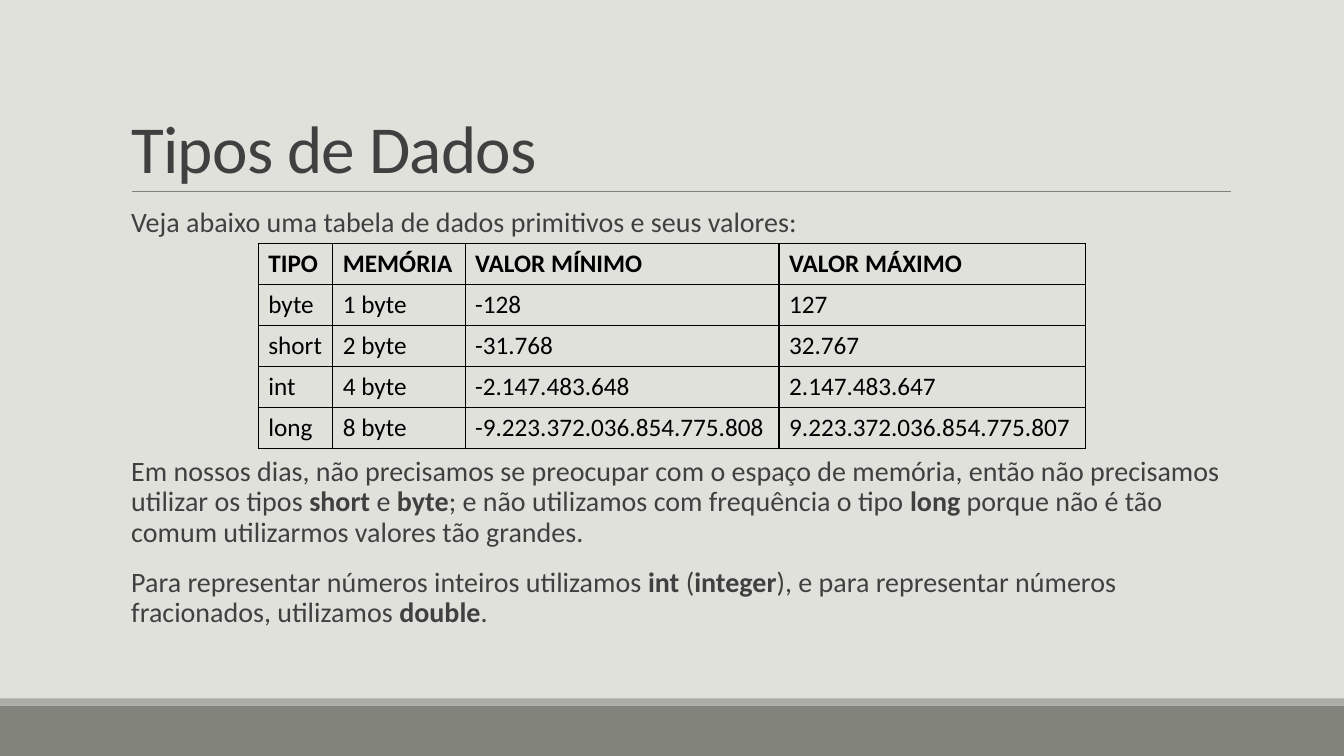
from lxml.etree import SubElement
from pptx import Presentation
from pptx.dml.color import RGBColor
from pptx.enum.shapes import MSO_CONNECTOR as Connector, MSO_SHAPE as Preset
from pptx.enum.text import MSO_ANCHOR as Anchor
from pptx.oxml import parse_xml
from pptx.oxml.ns import nsdecls, qn
from pptx.util import Emu, Pt

COLORS = {
    "background": "E1E1DB",
    "footer": "82847C",
    "stripe": "ACADA8",
    "rule": "808080",
    "text": "404040",
    "table": "000000",
}
FONT = "Calibri"
BODY_FORMAT = dict(size=20, line_spacing=0.9, before=12, after=2)
COLUMN_WIDTHS = [71, 126, 299, 292]
ROW_HEIGHT = 39
DATA_TYPES = [
    ["TIPO", "MEMÓRIA", "VALOR MÍNIMO", "VALOR MÁXIMO"],
    ["byte", "1 byte", "-128", "127"],
    ["short", "2 byte", "-31.768", "32.767"],
    ["int", "4 byte", "-2.147.483.648", "2.147.483.647"],
    ["long", "8 byte", "-9.223.372.036.854.775.808", "9.223.372.036.854.775.807"],
]
INTRODUCTION = "Veja abaixo uma tabela de dados primitivos e seus valores:"
CONCLUSIONS = [
    "Em nossos dias, não precisamos se preocupar com o espaço de memória, "
    "então não precisamos utilizar os tipos **short** e **byte**; e não utilizamos "
    "com frequência o tipo **long** porque não é tão comum utilizarmos valores tão grandes.",
    "Para representar números inteiros utilizamos **int **(**integer**), "
    "e para representar números fracionados, utilizamos **double**.",
]


def px(length):
    """Turn pixels into EMU."""
    return Emu(length * 9525)


def color(name):
    """Look up a named colour."""
    return RGBColor.from_string(COLORS[name])


def write_text(paragraph, text, size, fill="text", bold=False, tracking=None,
               line_spacing=None, before=0, after=0):
    """Write text into a paragraph, with ** switching bold."""
    paragraph.line_spacing = line_spacing
    paragraph.space_before = Pt(before)
    paragraph.space_after = Pt(after)
    for index, part in enumerate(text.split("**")):
        if not part:
            continue
        run = paragraph.add_run()
        run.text = part
        run.font.name = FONT
        run.font.size = Pt(size)
        run.font.bold = bold or index % 2 == 1
        run.font.color.rgb = color(fill)
        if tracking is not None:
            run.font._element.set("spc", str(tracking))


def add_text(slide, box, texts, anchor=Anchor.TOP, **text_format):
    """Add a wrapped text box with one paragraph per text."""
    frame = slide.shapes.add_textbox(*map(px, box)).text_frame
    frame.word_wrap = True
    frame.vertical_anchor = anchor
    frame.margin_left = frame.margin_right = 0
    for index, text in enumerate(texts):
        paragraph = frame.add_paragraph() if index else frame.paragraphs[0]
        write_text(paragraph, text, **text_format)


def add_bar(slide, box, fill):
    """Add a borderless filled rectangle."""
    shape = slide.shapes.add_shape(Preset.RECTANGLE, *map(px, box))
    shape.shadow.inherit = False
    shape.fill.solid()
    shape.fill.fore_color.rgb = color(fill)
    shape.line.fill.background()


def add_rule(slide, left, right, top):
    """Add a thin horizontal line."""
    line = slide.shapes.add_connector(Connector.STRAIGHT, px(left), px(top), px(right), px(top))
    line.line.color.rgb = color("rule")
    line.line.width = Pt(0.5)
    SubElement(line._element.spPr, qn("a:effectLst"))


def add_borders(cell):
    """Draw a line of one point on each side of a cell."""
    properties = cell._tc.get_or_add_tcPr()
    for index, side in enumerate("LRTB"):
        properties.insert(index, parse_xml(
            f'<a:ln{side} {nsdecls("a")} w="{Pt(1)}"><a:solidFill>'
            f'<a:srgbClr val="{COLORS["table"]}"/></a:solidFill></a:ln{side}>'))


def add_type_table(slide, left, top):
    """Add the table of primitive types."""
    table = slide.shapes.add_table(
        len(DATA_TYPES), len(COLUMN_WIDTHS), px(left), px(top),
        px(sum(COLUMN_WIDTHS)), px(ROW_HEIGHT * len(DATA_TYPES))).table
    table.first_row = table.horz_banding = False
    for column, width in zip(table.columns, COLUMN_WIDTHS):
        column.width = px(width)
    for row_index, values in enumerate(DATA_TYPES):
        table.rows[row_index].height = px(ROW_HEIGHT)
        for column_index, value in enumerate(values):
            cell = table.cell(row_index, column_index)
            cell.fill.background()
            add_borders(cell)
            write_text(cell.text_frame.paragraphs[0], value, size=18,
                       fill="table", bold=row_index == 0)


def main():
    """Build and save the slide."""
    presentation = Presentation()
    presentation.slide_width, presentation.slide_height = px(1280), px(720)
    slide = presentation.slides.add_slide(presentation.slide_layouts[6])
    slide.background.fill.solid()
    slide.background.fill.fore_color.rgb = color("background")
    add_bar(slide, (0, 672, 1280, 48), "footer")
    add_bar(slide, (0, 665, 1280, 7), "stripe")
    add_rule(slide, 126, 1172, 182)
    add_text(slide, (125, 30, 1046, 153), ["Tipos de Dados"], anchor=Anchor.BOTTOM,
             size=48, tracking=-50, line_spacing=0.85)
    add_text(slide, (125, 194, 1046, 38), [INTRODUCTION], **BODY_FORMAT)
    add_text(slide, (125, 431, 1046, 185), CONCLUSIONS, **BODY_FORMAT)
    add_type_table(slide, 246, 232)
    presentation.save("out.pptx")


if __name__ == "__main__":
    main()
